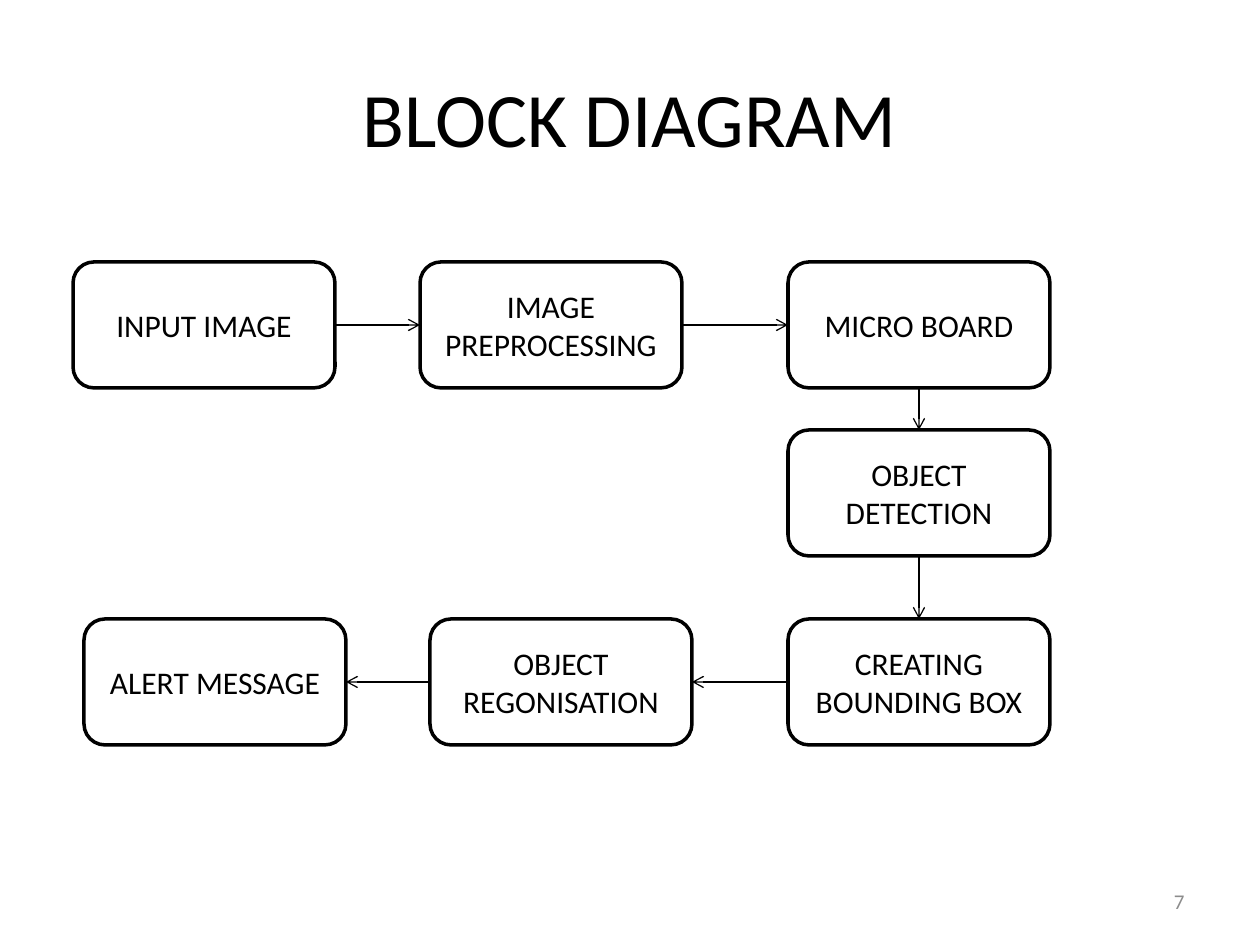
from itertools import pairwise
from pptx import Presentation
from pptx.dml.color import RGBColor
from pptx.enum.shapes import MSO_CONNECTOR, MSO_SHAPE
from pptx.enum.text import MSO_ANCHOR, PP_ALIGN
from pptx.oxml.ns import qn
from pptx.util import Pt
from lxml import etree

PX = 914400 // 126  # EMU per pixel
BLACK = RGBColor(0, 0, 0)
WHITE = RGBColor(255, 255, 255)
GREY = RGBColor(0x8C, 0x8C, 0x8C)
ROUND = MSO_SHAPE.ROUNDED_RECTANGLE
LINE = MSO_CONNECTOR.STRAIGHT
MIDDLE = MSO_ANCHOR.MIDDLE
CENTER, RIGHT = PP_ALIGN.CENTER, PP_ALIGN.RIGHT
# Connection sites of a box
TOP, LEFT, BOTTOM, EAST = range(4)


class Board:
    font = "Calibri"

    def __init__(self, slide):
        self.slide = slide
        self.shapes = slide.shapes

    def put_text(self, shape, text, size, color=BLACK, align=CENTER):
        frame = shape.text_frame
        frame.word_wrap = True
        frame.vertical_anchor = MIDDLE
        para = frame.paragraphs[0]
        para.alignment = align
        run = para.add_run()
        run.text = text
        run.font.name = self.font
        run.font.size = Pt(size)
        run.font.color.rgb = color

    def title(self, text, *area):
        shape = self.shapes.title
        shape.left, shape.top, shape.width, shape.height = (n * PX for n in area)
        self.put_text(shape, text, 44)

    def label(self, text, *area):
        shape = self.shapes.add_textbox(*(n * PX for n in area))
        self.put_text(shape, text, 12, GREY, RIGHT)

    def box(self, text, *area):
        shape = self.shapes.add_shape(ROUND, *(n * PX for n in area))
        shape.shadow.inherit = False
        shape.fill.solid()
        shape.fill.fore_color.rgb = WHITE
        shape.line.color.rgb = BLACK
        shape.line.width = Pt(2)
        self.put_text(shape, text, 18)
        return shape

    def arrow(self, start, out, end, into):
        link = self.shapes.add_connector(LINE, 0, 0, 0, 0)
        link.begin_connect(start, out)
        link.end_connect(end, into)
        link.line.color.rgb = BLACK
        link.line.width = Pt(0.75)
        props = link._element.spPr
        etree.SubElement(props.find(qn("a:ln")), qn("a:tailEnd"), type="arrow")
        etree.SubElement(props, qn("a:effectLst"))


deck = Presentation()
deck.slide_width, deck.slide_height = 1260 * PX, 945 * PX
board = Board(deck.slides.add_slide(deck.slide_layouts[5]))

board.title("BLOCK DIAGRAM", 63, 38, 1134, 157)

# Boxes in the order of the flow: text, left, top, side the arrow leaves by
WIDE, HIGH = 262, 126
STEPS = [
    ("INPUT IMAGE", 73, 262, EAST),
    ("IMAGE PREPROCESSING", 420, 262, EAST),
    ("MICRO BOARD", 788, 262, BOTTOM),
    ("OBJECT DETECTION", 788, 430, BOTTOM),
    ("CREATING BOUNDING BOX", 788, 619, LEFT),
    ("OBJECT REGONISATION", 430, 619, LEFT),
    ("ALERT MESSAGE", 84, 619, None),
]
flow = [(board.box(text, x, y, WIDE, HIGH), side) for text, x, y, side in STEPS]

# Arrows enter by the side facing the one they left
FACING = {EAST: LEFT, LEFT: EAST, BOTTOM: TOP}
for (start, side), (end, _) in pairwise(flow):
    board.arrow(start, side, end, FACING[side])

# Page number
board.label("7", 903, 876, 294, 50)

deck.save("out.pptx")
